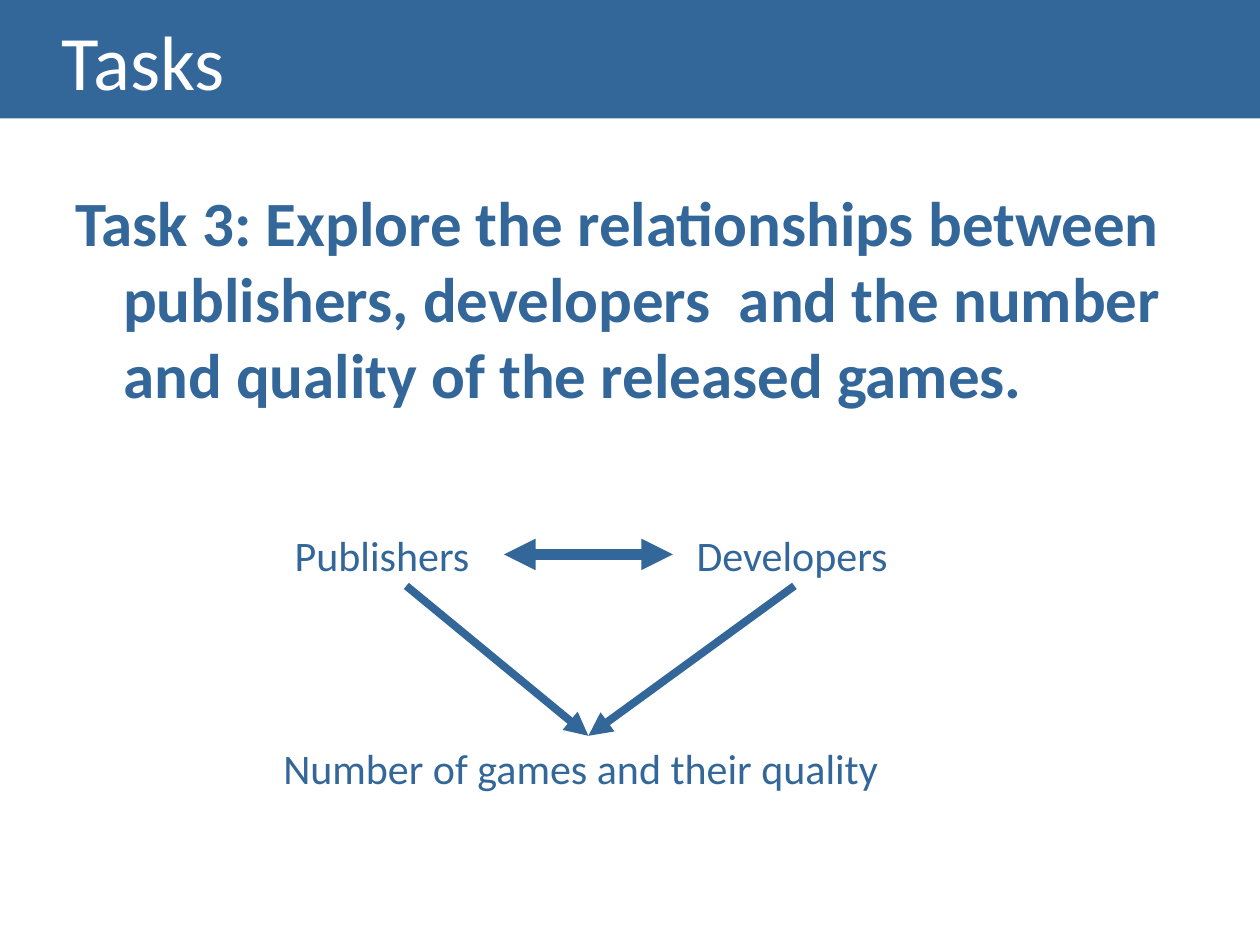
import pptx
import pptx.dml.color
import pptx.enum.shapes
import pptx.enum.text
import pptx.oxml.ns
import pptx.util
from lxml import etree
from pptx.util import Inches

BLUE = "336699"
WHITE = "FFFFFF"
BOTTOM, TOP = 2, 0


def color(hex_code):
    return pptx.dml.color.RGBColor.from_string(hex_code)


def write(shape, text, size=24, ink=BLUE, bold=False, margin=0, indent=0,
          anchor=pptx.enum.text.MSO_ANCHOR.TOP):
    """Fill the shape with one left-aligned paragraph; margin and indent in inches."""
    frame = shape.text_frame
    frame.word_wrap = True
    frame.auto_size = pptx.enum.text.MSO_AUTO_SIZE.NONE
    frame.vertical_anchor = anchor
    paragraph = frame.paragraphs[0]
    paragraph.text = text
    paragraph.alignment = pptx.enum.text.PP_ALIGN.LEFT
    properties = paragraph._p.get_or_add_pPr()
    properties.set("marL", str(Inches(margin)))
    properties.set("indent", str(Inches(indent)))
    font = paragraph.runs[0].font
    font.name = "Calibri"
    font.size = pptx.util.Pt(size)
    font.bold = bold
    font.color.rgb = color(ink)


def add_title(slide, text):
    banner = slide.shapes.title
    banner.left, banner.top = Inches(0), Inches(0)
    banner.width, banner.height = Inches(10), Inches(0.94)
    banner.fill.solid()
    banner.fill.fore_color.rgb = color(BLUE)
    write(banner, text, size=44, ink=WHITE, margin=0.39,
          anchor=pptx.enum.text.MSO_ANCHOR.MIDDLE)


def add_label(slide, text, left, top, width, height=0.5, **style):
    label = slide.shapes.add_textbox(
        Inches(left), Inches(top), Inches(width), Inches(height))
    write(label, text, **style)
    return label


def add_arrow(slide, start=(0, 0), end=(0, 0), weight=4.5, ends=("tailEnd",)):
    arrow = slide.shapes.add_connector(
        pptx.enum.shapes.MSO_CONNECTOR.STRAIGHT,
        *map(Inches, start), *map(Inches, end))
    arrow.line.color.rgb = color(BLUE)
    arrow.line.width = pptx.util.Pt(weight)
    outline = arrow.line._get_or_add_ln()
    for end_name in ends:
        etree.SubElement(outline, pptx.oxml.ns.qn(f"a:{end_name}"), type="triangle")
    etree.SubElement(arrow._element.spPr, pptx.oxml.ns.qn("a:effectLst"))
    return arrow


def main():
    presentation = pptx.Presentation()
    presentation.slide_width, presentation.slide_height = Inches(10), Inches(7.5)
    slide = presentation.slides.add_slide(presentation.slide_layouts[5])

    add_title(slide, "Tasks")
    add_label(slide,
              "Task 3: Explore the relationships between publishers, developers  "
              "and the number and quality of the released games.",
              0.5, 1.41, 9, 1.95, size=36, bold=True, margin=0.38, indent=-0.38)

    publishers = add_label(slide, "Publishers", 2.24, 4.15, 1.97)
    developers = add_label(slide, "Developers", 5.43, 4.15, 1.75)
    games = add_label(slide, "Number of games and their quality", 2.15, 5.84, 5.04)

    add_arrow(slide, (4, 4.4), (5.34, 4.4), weight=6, ends=("headEnd", "tailEnd"))
    for source in (publishers, developers):
        influence = add_arrow(slide)
        influence.begin_connect(source, BOTTOM)
        influence.end_connect(games, TOP)

    presentation.save("out.pptx")


if __name__ == "__main__":
    main()
